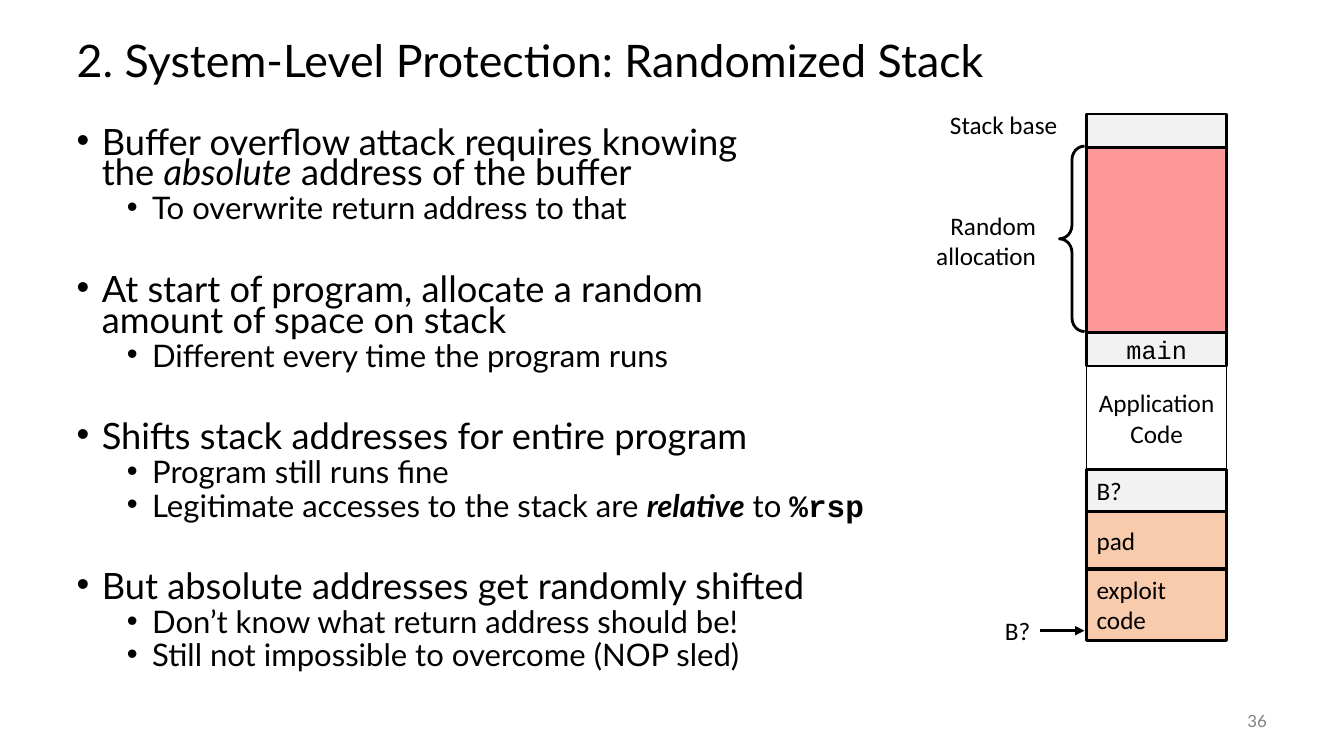
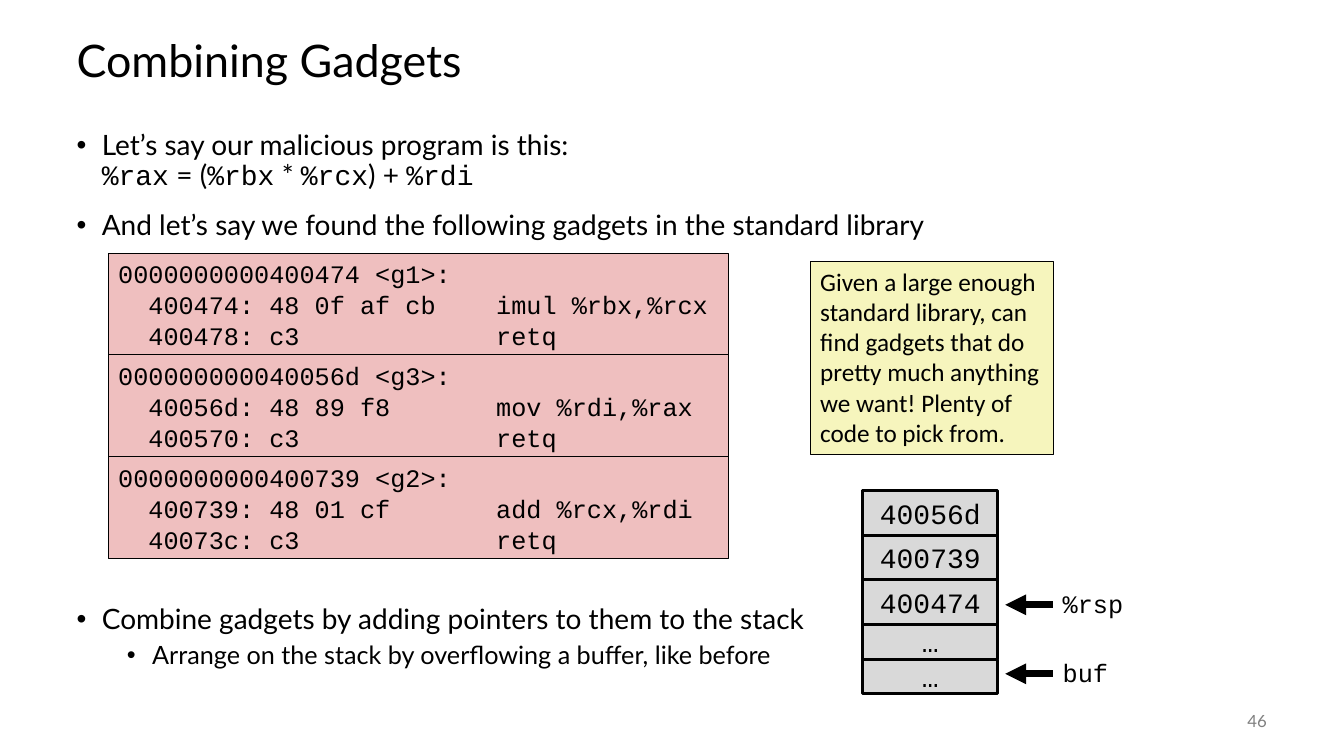
import copy
from dataclasses import dataclass

import pptx
import pptx.dml.color
import pptx.enum.shapes
import pptx.enum.text
import pptx.oxml
import pptx.oxml.ns
import pptx.util
from lxml import etree

Pt = pptx.util.Pt
SHAPE = pptx.enum.shapes.MSO_SHAPE
ALIGN = pptx.enum.text.PP_ALIGN
ANCHOR = pptx.enum.text.MSO_ANCHOR
qn = pptx.oxml.ns.qn


# Theme
@dataclass(frozen=True)
class Theme:
    sans: str = "Lato"
    label: str = "Calibri"
    mono: str = "Courier New"
    black: str = "000000"
    white: str = "FFFFFF"
    muted: str = "808080"
    frame: str = "F2F2F2"
    random: str = "FF9999"
    exploit: str = "F8CBAD"
    gadget: str = "EFBFBF"
    note: str = "F6F5BD"
    pointer: str = "D9D9D9"
    title_size: float = 32
    text_size: float = 18
    pointer_size: float = 20
    number_size: float = 12


T = Theme()


@dataclass(frozen=True)
class Span:
    text: str
    font: str = T.sans
    bold: bool = False
    italic: bool = False


@dataclass(frozen=True)
class Bullet:
    spans: tuple[Span, ...]
    level: int = 0
    before: float | None = None


@dataclass(frozen=True)
class BodyStyle:
    height: float
    sizes: tuple[float, float]
    spacing: float


@dataclass(frozen=True)
class Cell:
    text: str
    height: float
    fill: str
    line: float = 2
    font: str = T.label
    size: float = T.text_size
    align: ALIGN = ALIGN.CENTER
    inset: float | None = None


# Text
def rgb(value: str):
    return pptx.dml.color.RGBColor.from_string(value)


def write(p, text: str, *, font: str = T.label, size: float = T.text_size,
          color: str = T.black, bold: bool = False, italic: bool = False) -> None:
    """Append text to a paragraph; a newline becomes a line break."""
    for i, line in enumerate(text.split("\n")):
        if i:
            p.add_line_break()
        br = p._p.findall(qn("a:br"))[-1] if i else None
        r = p.add_run()
        r.text = line
        f = r.font
        f.name, f.size, f.bold, f.italic = font, Pt(size), bold, italic
        f.color.rgb = rgb(color)
        if br is not None:
            br.insert(0, copy.deepcopy(r._r.rPr))


def fill_frame(sp, lines: list[str], *, align=ALIGN.LEFT, anchor=ANCHOR.TOP,
               inset: float | None = None, spacing=None, **fmt) -> None:
    tf = sp.text_frame
    tf.word_wrap = True
    tf.vertical_anchor = anchor
    if inset is not None:
        tf.margin_left = tf.margin_right = Pt(inset)
        tf.margin_top = tf.margin_bottom = Pt(inset)
    for i, line in enumerate(lines):
        p = tf.add_paragraph() if i else tf.paragraphs[0]
        p.alignment = align
        if spacing is not None:
            p.line_spacing = spacing
        write(p, line, **fmt)


def label(s, text: str, x: float, y: float, w: float, h: float, **fmt) -> None:
    sp = s.shapes.add_textbox(Pt(x), Pt(y), Pt(w), Pt(h))
    fill_frame(sp, text.split("\n"), **fmt)


def set_bullet(p, level: int) -> None:
    pPr = p._p.get_or_add_pPr()
    pPr.set("marL", str(Pt(18 + 36 * level)))
    pPr.set("indent", str(Pt(-18)))
    etree.SubElement(pPr, qn("a:buFont")).set("typeface", "Arial")
    etree.SubElement(pPr, qn("a:buChar")).set("char", "•")


# Shapes
def box(s, x: float, y: float, w: float, h: float, fill: str, line: float):
    sp = s.shapes.add_shape(SHAPE.RECTANGLE, Pt(x), Pt(y), Pt(w), Pt(h))
    sp.shadow.inherit = False
    sp.fill.solid()
    sp.fill.fore_color.rgb = rgb(fill)
    sp.line.color.rgb = rgb(T.black)
    sp.line.width = Pt(line)
    return sp


def arrow(s, x1: float, x2: float, y: float, width: float) -> None:
    cx = s.shapes.add_connector(pptx.enum.shapes.MSO_CONNECTOR.STRAIGHT,
                                Pt(x1), Pt(y), Pt(x2), Pt(y))
    cx.line.color.rgb = rgb(T.black)
    cx.line.width = Pt(width)
    etree.SubElement(cx.line._get_or_add_ln(), qn("a:tailEnd")).set("type", "triangle")
    etree.SubElement(cx._element.spPr, qn("a:effectLst"))


def brace(s, x: float, y: float, w: float, h: float) -> None:
    sp = s.shapes.add_shape(SHAPE.LEFT_BRACE, Pt(x), Pt(y), Pt(w), Pt(h))
    sp.shadow.inherit = False
    sp.adjustments[0] = 0.54
    sp.fill.background()
    sp.line.color.rgb = rgb(T.black)
    sp.line.width = Pt(2)


def draw_stack(s, x: float, y: float, w: float, cells: list[Cell]) -> None:
    """Draw cells downwards, each touching the one above."""
    for c in cells:
        sp = box(s, x, y, w, c.height, c.fill, c.line)
        if c.text:
            fill_frame(sp, c.text.split("\n"), align=c.align, anchor=ANCHOR.MIDDLE,
                       inset=c.inset, font=c.font, size=c.size)
        y += c.height


# Slide frame: title, bullets and number
def place(sp, x: float, y: float, w: float, h: float) -> None:
    sp.left, sp.top, sp.width, sp.height = Pt(x), Pt(y), Pt(w), Pt(h)


def new_slide(prs, title: str, number: int, style: BodyStyle, bullets: list[Bullet]):
    s = prs.slides.add_slide(prs.slide_layouts[1])
    head, body = s.placeholders
    place(head, 47.5, 18, 864, 54)
    fill_frame(head, [title], anchor=ANCHOR.MIDDLE, spacing=0.9,
               font=T.sans, size=T.title_size)
    place(body, 47.5, 90, 864, style.height)
    tf = body.text_frame
    for sp in (head, body):
        sp.text_frame.auto_size = pptx.enum.text.MSO_AUTO_SIZE.NONE
    for i, b in enumerate(bullets):
        p = tf.add_paragraph() if i else tf.paragraphs[0]
        p.level = b.level
        set_bullet(p, b.level)
        p.line_spacing = style.spacing
        default = (14, 5)[b.level] if i else 0
        p.space_before = Pt(default if b.before is None else b.before)
        for span in b.spans:
            write(p, span.text, font=span.font, size=style.sizes[b.level],
                  bold=span.bold, italic=span.italic)
    label(s, str(number), 840, 500.5, 72, 29, align=ALIGN.RIGHT, anchor=ANCHOR.MIDDLE,
          font=T.sans, size=T.number_size, color=T.muted)
    return s


def item(text: str, level: int = 0, before: float | None = None) -> Bullet:
    return Bullet((Span(text),), level, before)


# Slide: randomized stack
def randomized_stack(prs) -> None:
    gap = 38
    s = new_slide(prs, "2. System-Level Protection: Randomized Stack", 36,
                  BodyStyle(396, (25.9, 22.2), 0.7), [
        Bullet((Span("Buffer overflow attack requires knowing\nthe "),
                Span("absolute", italic=True), Span(" address of the buffer"))),
        item("To overwrite return address to that", 1),
        item("At start of program, allocate a random\namount of space on stack", 0, gap),
        item("Different every time the program runs", 1),
        item("Shifts stack addresses for entire program", 0, gap),
        item("Program still runs fine", 1),
        Bullet((Span("Legitimate accesses to the stack are "),
                Span("relative", bold=True, italic=True), Span(" to "),
                Span("%rsp", T.mono, bold=True)), 1),
        item("But absolute addresses get randomly shifted", 0, gap),
        item("Don’t know what return address should be!", 1),
        item("Still not impossible to overcome (NOP sled)", 1),
    ])
    left = ALIGN.LEFT
    draw_stack(s, 776.2, 81.4, 100, [
        Cell("", 24, T.frame),
        Cell("", 132, T.random),
        Cell("main", 24, T.frame, font=T.mono, inset=0),
        Cell("Application\nCode", 74, T.white, line=1, inset=0),
        Cell("B?", 30, T.frame, 2.25, align=left),
        Cell("pad", 41, T.exploit, 2.25, align=left),
        Cell("exploit\ncode", 51, T.exploit, 2.25, align=left),
    ])
    brace(s, 756.7, 104.4, 18, 132.5)
    right = ALIGN.RIGHT
    label(s, "Stack base", 672.5, 75, 85.7, 28, align=right, inset=3)
    label(s, "Random\nallocation", 663, 147, 80, 50, align=right, inset=3)
    label(s, "B?", 703, 436, 36, 29, align=right, anchor=ANCHOR.MIDDLE, inset=3)
    arrow(s, 743, 774.7, 450.5, 2.25)


# Slide: combining gadgets
def combining_gadgets(prs) -> None:
    s = new_slide(prs, "Combining Gadgets", 46, BodyStyle(432, (20, 18), 0.9), [
        Bullet((Span("Let’s say our malicious program is this:\n"),
                Span("%rax", T.mono), Span(" = ("), Span("%rbx", T.mono), Span(" * "),
                Span("%rcx", T.mono), Span(") + "), Span("%rdi", T.mono))),
        item("And let’s say we found the following gadgets in the standard library"),
        item("Combine gadgets by adding pointers to them to the stack", 0, 260),
        item("Arrange on the stack by overflowing a buffer, like before", 1),
    ])
    gadgets = [
        ["0000000000400474 <g1>:",
         "  400474: 48 0f af cb    imul %rbx,%rcx",
         "  400478: c3             retq"],
        ["000000000040056d <g3>:",
         "  40056d: 48 89 f8       mov %rdi,%rax",
         "  400570: c3             retq"],
        ["0000000000400739 <g2>:",
         "  400739: 48 01 cf       add %rcx,%rdi",
         "  40073c: c3             retq"],
    ]
    for i, code in enumerate(gadgets):
        sp = box(s, 77.3, 180.8 + 72.8 * i, 442.8, 72.8, T.gadget, 0.75)
        fill_frame(sp, code, font=T.mono, spacing=Pt(22))

    note = box(s, 578.8, 186.5, 173.7, 138.2, T.note, 0.75)
    fill_frame(note, ["Given a large enough\nstandard library, can\nfind gadgets that do\n"
                      "pretty much anything\nwe want! Plenty of\ncode to pick from."])

    rows = [("40056d", 31.8), ("400739", 31.8), ("400474", 31.8), ("…", 24.8), ("…", 24.8)]
    draw_stack(s, 616.3, 350.6, 96.5,
               [Cell(text, h, T.pointer, font=T.mono, size=T.pointer_size)
                for text, h in rows])
    for text, y in (("%rsp", 432), ("buf", 481.3)):
        arrow(s, 752, 718, y, 5)
        label(s, text, 752, y - 15, 73.5, 29, font=T.mono)


def main() -> None:
    prs = pptx.Presentation()
    prs.slide_width, prs.slide_height = Pt(960), Pt(540)
    randomized_stack(prs)
    combining_gadgets(prs)
    prs.save("out.pptx")


if __name__ == "__main__":
    main()
